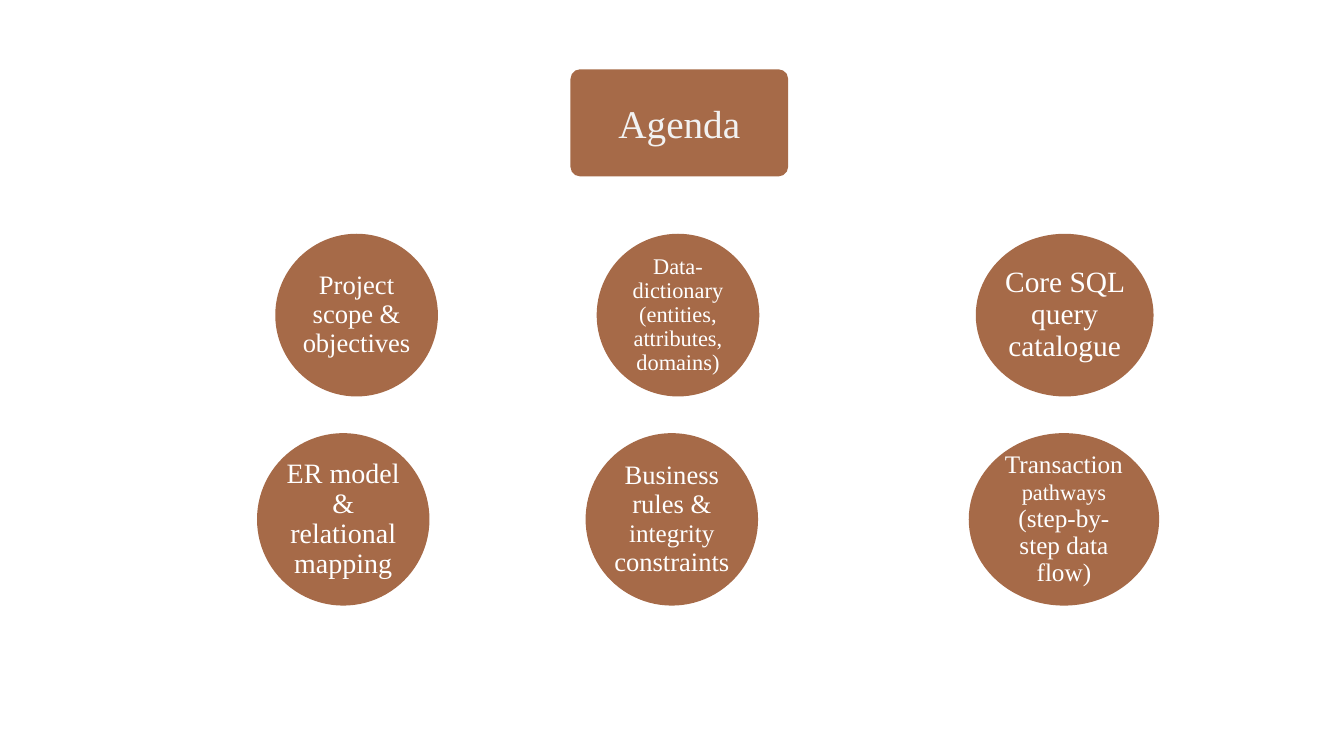
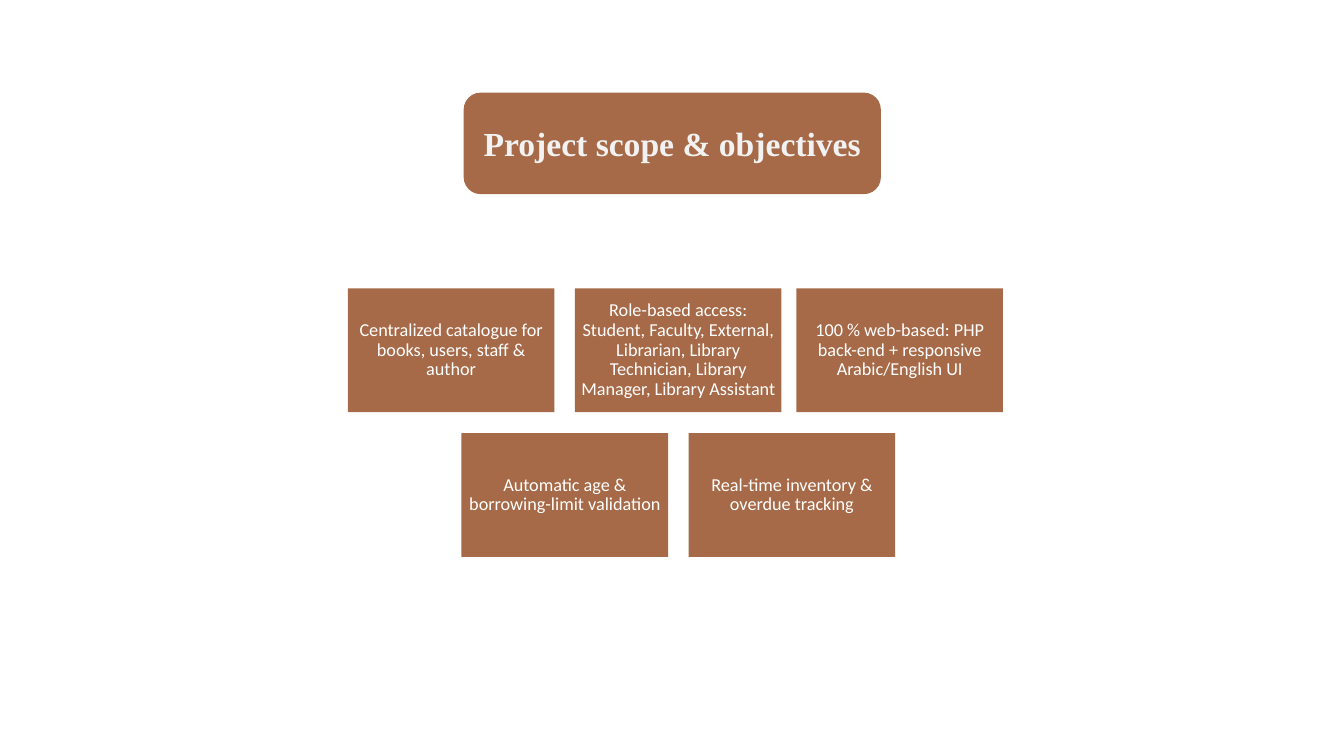
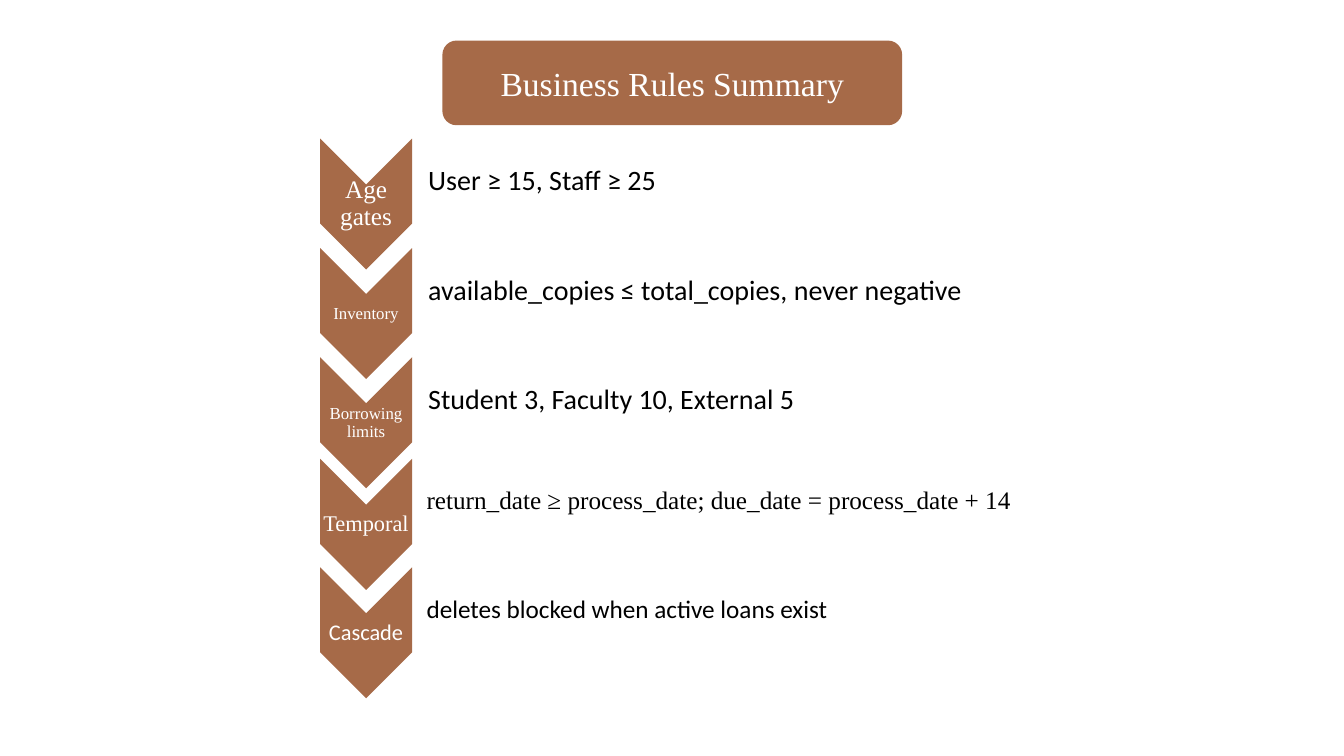
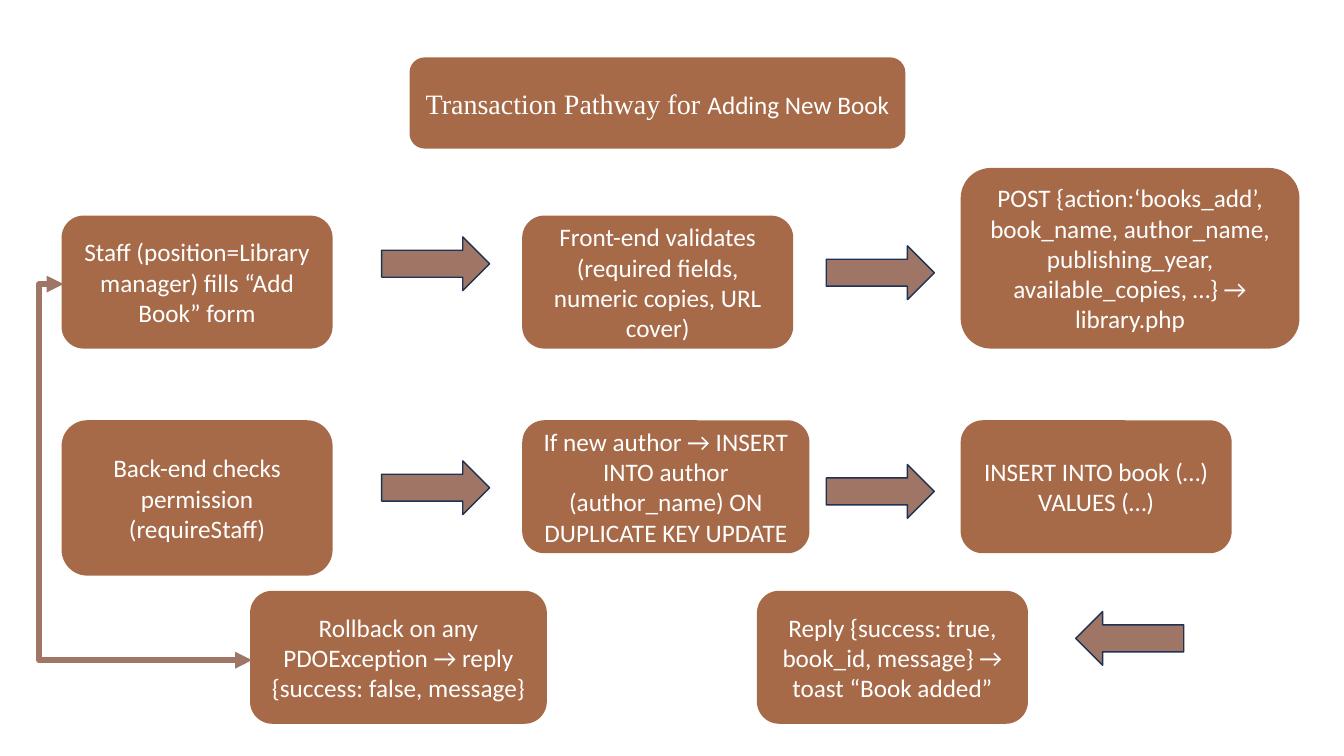
from lxml import etree
from pptx import Presentation
from pptx.dml.color import RGBColor
from pptx.enum.shapes import MSO_CONNECTOR, MSO_SHAPE
from pptx.enum.text import MSO_ANCHOR, PP_ALIGN
from pptx.oxml.ns import qn
from pptx.util import Pt

BROWN, TAUPE, NAVY = "A66A48", "9F7665", "1E3256"
WHITE, OFF_WHITE, BLACK = "FFFFFF", "F2F2F2", "000000"
SERIF, SANS = "Times New Roman", "Calibri"


def rgb(value):
    return RGBColor.from_string(value)


def write(shape, runs, color=WHITE, margins=(7.2, 3.6, 7.2, 3.6),
          align=PP_ALIGN.CENTER, spacing=0.9, bold=False):
    """Fill one paragraph with runs of (text, size, font name)."""
    tf = shape.text_frame
    frame = {"word_wrap": True, "vertical_anchor": MSO_ANCHOR.MIDDLE}
    for side, value in zip(("left", "top", "right", "bottom"), margins):
        frame["margin_" + side] = Pt(value)
    for name, value in frame.items():
        setattr(tf, name, value)
    p = tf.paragraphs[0]
    p.alignment, p.line_spacing = align, spacing
    for text, size, font in runs:
        r = p.add_run()
        r.text = text
        for name, value in {"size": Pt(size), "name": font, "bold": bold}.items():
            setattr(r.font, name, value)
        r.font.color.rgb = rgb(color)


def add_shape(s, kind, box, fill=BROWN, line=None):
    sp = s.shapes.add_shape(kind, *map(Pt, box))
    sp.shadow.inherit = False
    sp.fill.solid()
    sp.fill.fore_color.rgb = rgb(fill)
    if line:
        sp.line.color.rgb = rgb(line)
        sp.line.width = Pt(1)
    else:
        sp.line.fill.background()
    return sp


def add_box(s, kind, box, runs, **style):
    sp = add_shape(s, kind, box)
    write(sp, runs, **style)
    return sp


def add_rounded(s, box, runs, **style):
    return add_box(s, MSO_SHAPE.ROUNDED_RECTANGLE, box, runs, spacing=1, **style)


def add_label(s, box, runs, **style):
    write(s.shapes.add_textbox(*map(Pt, box)), runs, **style)


def add_elbow(s, start, end, bend):
    """Draw a two-headed elbow; bend is the middle leg's place as a share of the width."""
    c = s.shapes.add_connector(MSO_CONNECTOR.ELBOW, *map(Pt, start + end))
    c.line.color.rgb = rgb(TAUPE)
    c.line.width = Pt(4)
    pr = c._element.spPr
    guides = pr.find(qn("a:prstGeom")).get_or_add_avLst()
    etree.SubElement(guides, qn("a:gd"), name="adj1", fmla=f"val {round(bend * 100000)}")
    ln = pr.find(qn("a:ln"))
    for tag in ("a:headEnd", "a:tailEnd"):
        etree.SubElement(ln, qn(tag), type="triangle")
    etree.SubElement(pr, qn("a:effectLst"))


def agenda(s):
    title = add_rounded(s, (407.5, 49.5, 155.5, 76.5), [("Agenda", 28, SERIF)],
                        color=OFF_WHITE)
    title.adjustments[0] = 0.09
    rows = [
        (167, 116.2, [
            (196.6, 116.2, [("Project scope & objectives", 19)]),
            (426.2, 116.2, [("Data-dictionary (entities, attributes, domains)", 16)]),
            (697, 127, [("Core SQL query catalogue", 21)])]),
        (309.4, 123.2, [
            (183.6, 123.2, [("ER model & relational mapping", 20)]),
            (418.3, 123.2, [("Business rules & ", 19), ("integrity", 18),
                            (" constraints", 19)]),
            (692, 136, [("Transaction ", 18), ("pathways", 16),
                        (" (step-by-step data flow)", 18)])]),
    ]
    for top, height, topics in rows:
        for left, width, parts in topics:
            add_box(s, MSO_SHAPE.OVAL, (left, top, width, height),
                    [(text, size, SERIF) for text, size in parts], margins=(2,) * 4)


def scope(s):
    add_rounded(s, (331.2, 66.2, 298, 72.5), [("Project scope & objectives", 24, SERIF)],
                color=OFF_WHITE, bold=True)
    width, height = 147.6, 88.5
    goals = [
        (248.4, 206, "Centralized catalogue for books, users, staff & author"),
        (410.6, 206, "Role-based access: Student, Faculty, External, Librarian, "
                     "Library Technician, Library Manager, Library Assistant"),
        (568.8, 206, "100 % web-based: PHP back-end + responsive Arabic/English UI"),
        (329.6, 309.4, "Automatic age & borrowing-limit validation"),
        (491.8, 309.4, "Real-time inventory & overdue tracking"),
    ]
    for left, top, text in goals:
        add_box(s, MSO_SHAPE.RECTANGLE, (left, top, width, height),
                [(text, 13, SANS)], margins=(3.6,) * 4)


def rules(s):
    add_rounded(s, (316, 29, 328.4, 60.5), [("Business Rules Summary", 24, SERIF)])
    length, width, middle = 93.6, 65.6, 261.5
    rows = [
        (145.8, "Age gates", 18, SERIF, "User ≥ 15, Staff ≥ 25", 20, SANS),
        (224, "Inventory", 12, SERIF,
         "available_copies ≤ total_copies, never negative", 20, SANS),
        (302, "Borrowing limits", 12, SERIF,
         "Student 3, Faculty 10, External 5", 20, SANS),
        (374.6, "Temporal", 16, SERIF,
         "return_date ≥ process_date; due_date = process_date + 14", 18, SERIF),
        (452, "Cascade", 16, SANS, "deletes blocked when active loans exist", 18, SANS),
    ]
    for center, name, name_size, name_font, rule, rule_size, rule_font in rows:
        chevron = add_shape(s, MSO_SHAPE.CHEVRON,
                            (middle - length / 2, center - width / 2, length, width))
        chevron.rotation = 90
        add_label(s, (middle - width / 2, center - 14, width, 28),
                  [(name, name_size, name_font)], margins=(0.7,) * 4)
        add_label(s, (294.5, center - 43.5, 456.5, 54.7), [(rule, rule_size, rule_font)],
                  color=BLACK, align=PP_ALIGN.LEFT,
                  margins=(rule_size * 0.57, 0.7, 0.7, 0.7))


def pathway(s):
    add_rounded(s, (292.5, 41, 354.2, 65.2),
                [("Transaction Pathway for ", 20, SERIF), ("Adding New Book", 18, SANS)])
    width, height = 193.6, 95
    left, center, right = 44, 373, 686.2
    first, second, third = 154, 300.2, 422
    steps = [
        (left, first, width, height, "Staff (position=Library manager) fills “Add Book” form"),
        (center, first, width, height,
         "Front-end validates (required fields, numeric copies, URL cover)"),
        (right, 120, 242, 129, "POST {action:‘books_add’, book_name, author_name, "
                               "publishing_year, available_copies, …} → library.php"),
        (left, second, width, 111, "Back-end checks permission (requireStaff)"),
        (center, second, 205.2, height,
         "If new author → INSERT INTO author (author_name) ON DUPLICATE KEY UPDATE"),
        (right, second, width, height, "INSERT INTO book (…) VALUES (…)"),
        (178.6, third, 212, height,
         "Rollback on any PDOException → reply {success: false, message}"),
        (540.7, third, width, height,
         "Reply {success: true, book_id, message} → toast “Book added”"),
    ]
    for *box, text in steps:
        add_rounded(s, box, [(text, 18, SANS)])
    arrows = [
        (MSO_SHAPE.RIGHT_ARROW, 272.6, 169.2), (MSO_SHAPE.RIGHT_ARROW, 590.2, 175.6),
        (MSO_SHAPE.RIGHT_ARROW, 272.6, 329.2), (MSO_SHAPE.RIGHT_ARROW, 590.2, 331.8),
        (MSO_SHAPE.LEFT_ARROW, 768.4, 436.8),
    ]
    for kind, x, y in arrows:
        add_shape(s, kind, (x, y, 77.2, 38.4), TAUPE, NAVY)
    add_elbow(s, (180, 471.6), (45.4, 203), 1.13)


def main():
    prs = Presentation()
    prs.slide_width, prs.slide_height = Pt(960), Pt(540)
    for build in (agenda, scope, rules, pathway):
        build(prs.slides.add_slide(prs.slide_layouts[6]))
    prs.save("out.pptx")


if __name__ == "__main__":
    main()
